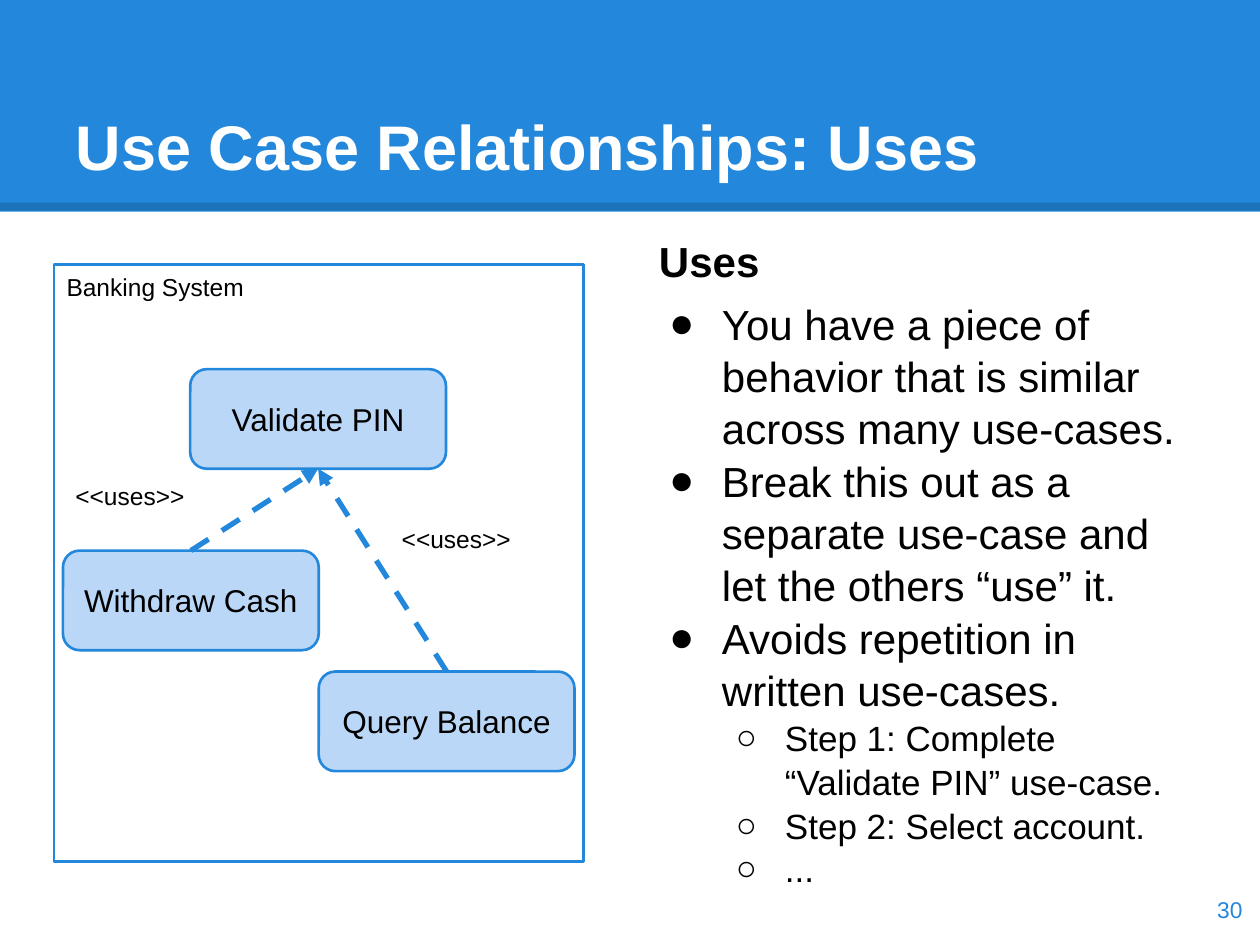
import lxml.etree
import pptx
import pptx.dml.color
import pptx.enum.dml
import pptx.enum.shapes
import pptx.enum.text
import pptx.oxml.ns
import pptx.util
from pptx.util import Inches

BLUE = pptx.dml.color.RGBColor(0x23, 0x88, 0xDB)
PALE_BLUE = pptx.dml.color.RGBColor(0xBB, 0xD7, 0xF8)
WHITE = pptx.dml.color.RGBColor(0xFF, 0xFF, 0xFF)
BLACK = pptx.dml.color.RGBColor(0, 0, 0)

ALIGN = pptx.enum.text.PP_ALIGN
ANCHOR = pptx.enum.text.MSO_ANCHOR
SHAPE = pptx.enum.shapes.MSO_SHAPE
STRAIGHT = pptx.enum.shapes.MSO_CONNECTOR.STRAIGHT

CASE_WIDTH, CASE_HEIGHT = 2.03, 0.79
TOP_SITE, BOTTOM_SITE = 0, 2

POINTS = [
    (0, "You have a piece of behavior that is similar across many use-cases."),
    (0, "Break this out as a separate use-case and let the others “use” it."),
    (0, "Avoids repetition in written use-cases."),
    (1, "Step 1: Complete “Validate PIN” use-case."),
    (1, "Step 2: Select account."),
    (1, "..."),
]
# Per level: bullet, left margin, hanging indent, text size
LEVELS = [("●", 0.5, 0.42, 24), ("○", 1, 0.39, 20)]


def add_child(parent, tag, **attributes):
    return lxml.etree.SubElement(parent, pptx.oxml.ns.qn(tag), attributes)


def place(shape, left, top, width, height):
    shape.left, shape.top = Inches(left), Inches(top)
    shape.width, shape.height = Inches(width), Inches(height)


def prepare_frame(shape, anchor, top_inset=0.1):
    frame = shape.text_frame
    frame.word_wrap = True
    frame.auto_size = pptx.enum.text.MSO_AUTO_SIZE.NONE
    frame.vertical_anchor = anchor
    frame.margin_left = frame.margin_right = frame.margin_bottom = Inches(0.1)
    frame.margin_top = Inches(top_inset)
    return frame


def write(paragraph, text, size, color=BLACK, bold=False, align=ALIGN.LEFT):
    paragraph.alignment = align
    paragraph.space_before = pptx.util.Pt(0)
    run = paragraph.add_run()
    run.text = text
    run.font.name = "Arial"
    run.font.size = pptx.util.Pt(size)
    run.font.bold = bold
    run.font.color.rgb = color


def add_box(slide, kind, box, fill, outline=None):
    shape = slide.shapes.add_shape(kind, *map(Inches, box))
    shape.shadow.inherit = False
    shape.fill.solid()
    shape.fill.fore_color.rgb = fill
    if outline is None:
        shape.line.fill.background()
    else:
        shape.line.color.rgb = outline
        shape.line.width = pptx.util.Pt(1.5)
    return shape


def style_line(connector, color, width):
    connector.line.color.rgb = color
    connector.line.width = pptx.util.Pt(width)
    add_child(connector._element.spPr, "a:effectLst")


def add_header(slide):
    """Draw the band and its translucent lower edge behind the title."""
    band = add_box(slide, SHAPE.RECTANGLE, (0, 0, 10, 1.68), BLUE)
    edge = slide.shapes.add_connector(
        STRAIGHT, 0, Inches(1.64), Inches(10), Inches(1.64))
    style_line(edge, BLACK, 4.5)
    color = edge.line._ln.find(".//" + pptx.oxml.ns.qn("a:srgbClr"))
    add_child(color, "a:alpha", val="15000")
    tree = slide.shapes._spTree
    tree.insert(2, band._element)
    tree.insert(3, edge._element)


def add_title(slide):
    title = slide.shapes.title
    place(title, 0.5, 0.3, 9, 1.25)
    frame = prepare_frame(title, ANCHOR.BOTTOM)
    write(frame.paragraphs[0], "Use Case Relationships: Uses", 36, WHITE, True)


def add_explanation(slide):
    body = slide.placeholders[1]
    place(body, 5.13, 1.75, 4.37, 5.43)
    frame = prepare_frame(body, ANCHOR.TOP)
    heading = frame.paragraphs[0]
    properties = heading._p.get_or_add_pPr()
    properties.set("marL", "0")
    properties.set("indent", "0")
    add_child(properties, "a:buNone")
    write(heading, "Uses", 24, bold=True)
    heading.line_spacing = 1.04
    heading.space_after = pptx.util.Pt(6)
    for level, text in POINTS:
        bullet, margin, hanging, size = LEVELS[level]
        point = frame.add_paragraph()
        point.level = level
        properties = point._p.get_or_add_pPr()
        properties.set("marL", str(Inches(margin)))
        properties.set("indent", str(-Inches(hanging)))
        add_child(add_child(properties, "a:buClr"), "a:srgbClr", val=str(BLACK))
        add_child(properties, "a:buFont", typeface="Arial")
        add_child(properties, "a:buChar", char=bullet)
        write(point, text, size)
        point.line_spacing = 1.04


def add_system_boundary(slide):
    boundary = add_box(
        slide, SHAPE.RECTANGLE, (0.43, 2.1, 4.2, 4.74), WHITE, BLUE)
    frame = prepare_frame(boundary, ANCHOR.TOP, top_inset=0.06)
    write(frame.paragraphs[0], "Banking System", 14)


def add_use_case(slide, name, left, top):
    case = add_box(slide, SHAPE.ROUNDED_RECTANGLE,
                   (left, top, CASE_WIDTH, CASE_HEIGHT), PALE_BLUE, BLUE)
    frame = prepare_frame(case, ANCHOR.MIDDLE)
    write(frame.paragraphs[0], name, 18, align=ALIGN.CENTER)
    return case


def add_uses_arrow(slide, user, used):
    arrow = slide.shapes.add_connector(STRAIGHT, 0, 0, 0, 0)
    arrow.begin_connect(user, TOP_SITE)
    arrow.end_connect(used, BOTTOM_SITE)
    style_line(arrow, BLUE, 3)
    arrow.line.dash_style = pptx.enum.dml.MSO_LINE.DASH
    add_child(arrow.line._ln, "a:tailEnd", type="triangle")


def add_label(slide, text, box, size, color=BLACK, align=ALIGN.LEFT,
              anchor=ANCHOR.TOP):
    label = slide.shapes.add_textbox(*map(Inches, box))
    frame = prepare_frame(label, anchor)
    write(frame.paragraphs[0], text, size, color, align=align)


def main():
    deck = pptx.Presentation()
    deck.slide_width, deck.slide_height = Inches(10), Inches(7.5)
    slide = deck.slides.add_slide(deck.slide_layouts[1])

    add_header(slide)
    add_title(slide)
    add_explanation(slide)

    add_system_boundary(slide)
    withdraw = add_use_case(slide, "Withdraw Cash", 0.5, 4.37)
    validate = add_use_case(slide, "Validate PIN", 1.51, 2.93)
    query = add_use_case(slide, "Query Balance", 2.53, 5.33)
    for user in (withdraw, query):
        add_uses_arrow(slide, user, validate)
    for left, top in ((3.09, 4.06), (0.5, 3.72)):
        add_label(slide, "<<uses>>", (left, top, 1.3, 0.44), 14)

    add_label(slide, "30", (9.36, 6.93, 0.6, 0.57), 13, BLUE, ALIGN.RIGHT,
              ANCHOR.MIDDLE)
    deck.save("out.pptx")


if __name__ == "__main__":
    main()
